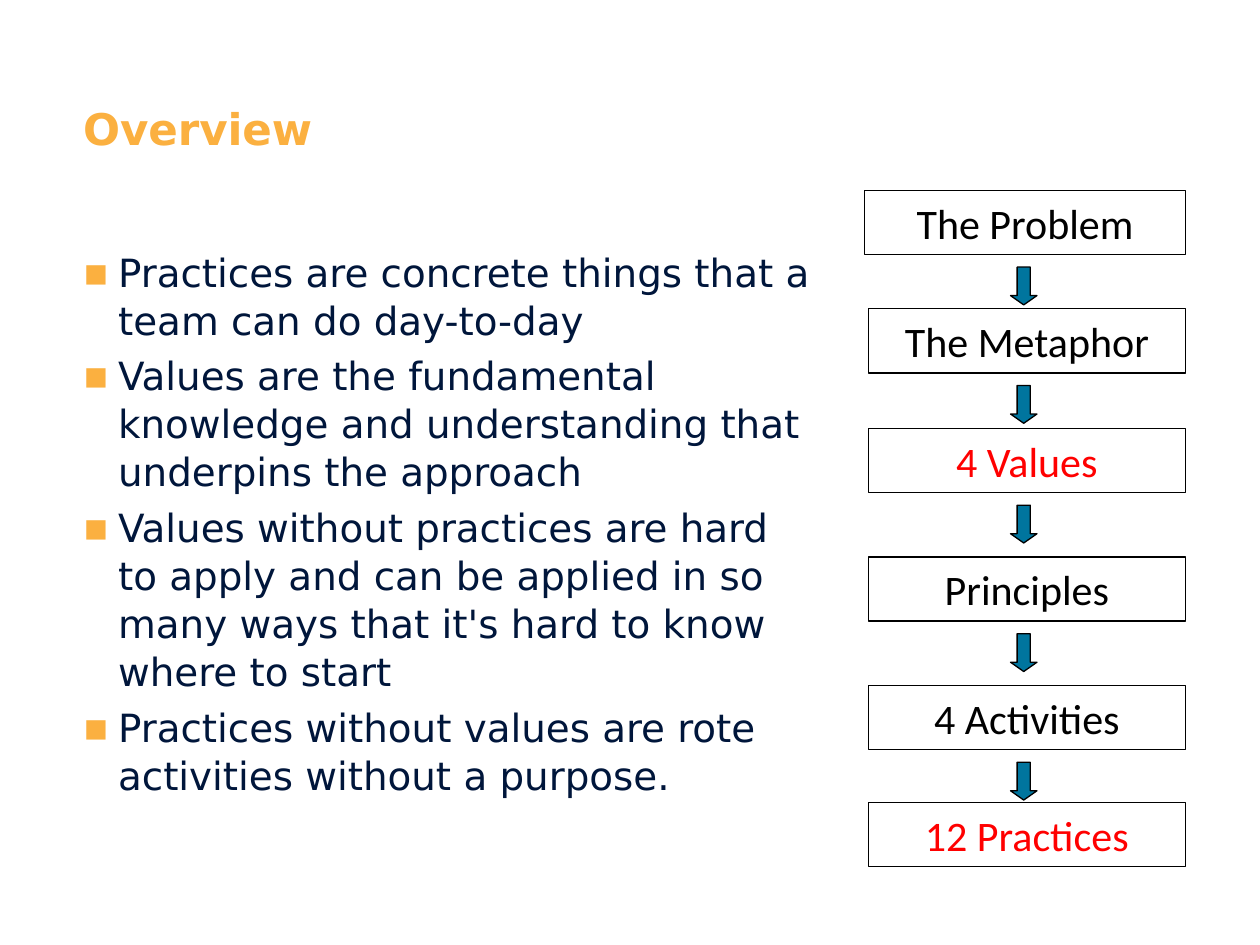
from lxml import etree
from pptx import Presentation
from pptx.dml.color import RGBColor
from pptx.enum.shapes import MSO_SHAPE as Shape
from pptx.enum.text import MSO_ANCHOR as Anchor, PP_ALIGN as Align
from pptx.oxml.ns import qn
from pptx.util import Inches, Pt

ORANGE = RGBColor(0xFB, 0xB0, 0x40)
NAVY = RGBColor(0x00, 0x16, 0x3B)
TEAL = RGBColor(0x00, 0x75, 0x9E)
RED = RGBColor(0xFF, 0x00, 0x00)
BLACK = RGBColor(0x00, 0x00, 0x00)

POINTS = [
    "Practices are concrete things that a team can do day-to-day",
    "Values are the fundamental knowledge and understanding that underpins the approach",
    "Values without practices are hard to apply and can be applied in so many ways "
    "that it's hard to know where to start",
    "Practices without values are rote activities without a purpose.",
]
# Label, colour, left and top of each step
STEPS = [
    ("The Problem", BLACK, 6.86, 1.51),
    ("The Metaphor", BLACK, 6.89, 2.45),
    ("4 Values", RED, 6.89, 3.4),
    ("Principles", BLACK, 6.89, 4.42),
    ("4 Activities", BLACK, 6.89, 5.44),
    ("12 Practices", RED, 6.89, 6.37),
]
STEPS_RIGHT = 9.41
ARROW_OFFSET = 0.61


def add_run(paragraph, text, font_name, size, color, bold=False):
    run = paragraph.add_run()
    run.text = text
    run.font.name = font_name
    run.font.size = Pt(size)
    run.font.bold = bold
    run.font.color.rgb = color


def add_bullet(paragraph):
    """Give the paragraph an orange square bullet with a hanging indent."""
    properties = paragraph._p.get_or_add_pPr()
    properties.set("marL", str(Inches(0.28)))
    properties.set("indent", str(-Inches(0.28)))
    color = etree.SubElement(properties, qn("a:buClr"))
    etree.SubElement(color, qn("a:srgbClr"), val=str(ORANGE))
    etree.SubElement(properties, qn("a:buFont"), typeface="DejaVu Sans")
    etree.SubElement(properties, qn("a:buChar"), char="▪")


presentation = Presentation()
presentation.slide_width = Inches(10)
presentation.slide_height = Inches(7.5)
slide = presentation.slides.add_slide(presentation.slide_layouts[5])

# Title
title = slide.shapes.title
title.left, title.top = Inches(0.56), Inches(0.73)
title.width, title.height = Inches(8.84), Inches(1.25)
title_frame = title.text_frame
title_frame.vertical_anchor = Anchor.TOP
title_frame.margin_top = Inches(0.08)
paragraph = title_frame.paragraphs[0]
paragraph.alignment = Align.LEFT
add_run(paragraph, "Overview", "DejaVu Sans", 24.9, ORANGE, bold=True)

# Bulleted points
body = slide.shapes.add_textbox(Inches(0.56), Inches(1.9), Inches(6.04), Inches(4.59))
body_frame = body.text_frame
body_frame.word_wrap = True
body_frame.margin_top = Inches(0.06)
body_frame.margin_right = Inches(0.13)
for index, point in enumerate(POINTS):
    paragraph = body_frame.add_paragraph() if index else body_frame.paragraphs[0]
    add_bullet(paragraph)
    paragraph.line_spacing = 1.03
    if index:
        paragraph.space_before = Pt(4.4)
    add_run(paragraph, point, "DejaVu Sans", 22.2, NAVY)

# Steps, with an arrow below each one but the last
for index, (label, color, left, top) in enumerate(STEPS):
    box = slide.shapes.add_shape(
        Shape.RECTANGLE, Inches(left), Inches(top), Inches(STEPS_RIGHT - left), Inches(0.51)
    )
    box.shadow.inherit = False
    box.fill.background()
    box.line.color.rgb = BLACK
    box.line.width = Pt(0.75)
    paragraph = box.text_frame.paragraphs[0]
    paragraph.alignment = Align.CENTER
    add_run(paragraph, label, "Calibri", 24, color)

    if index < len(STEPS) - 1:
        arrow = slide.shapes.add_shape(
            Shape.DOWN_ARROW, Inches(8.02), Inches(top + ARROW_OFFSET), Inches(0.21), Inches(0.3)
        )
        arrow.shadow.inherit = False
        arrow.adjustments[0] = 0.5
        arrow.adjustments[1] = 0.35
        arrow.fill.solid()
        arrow.fill.fore_color.rgb = TEAL
        arrow.line.color.rgb = BLACK
        arrow.line.width = Pt(0.75)

presentation.save("out.pptx")
